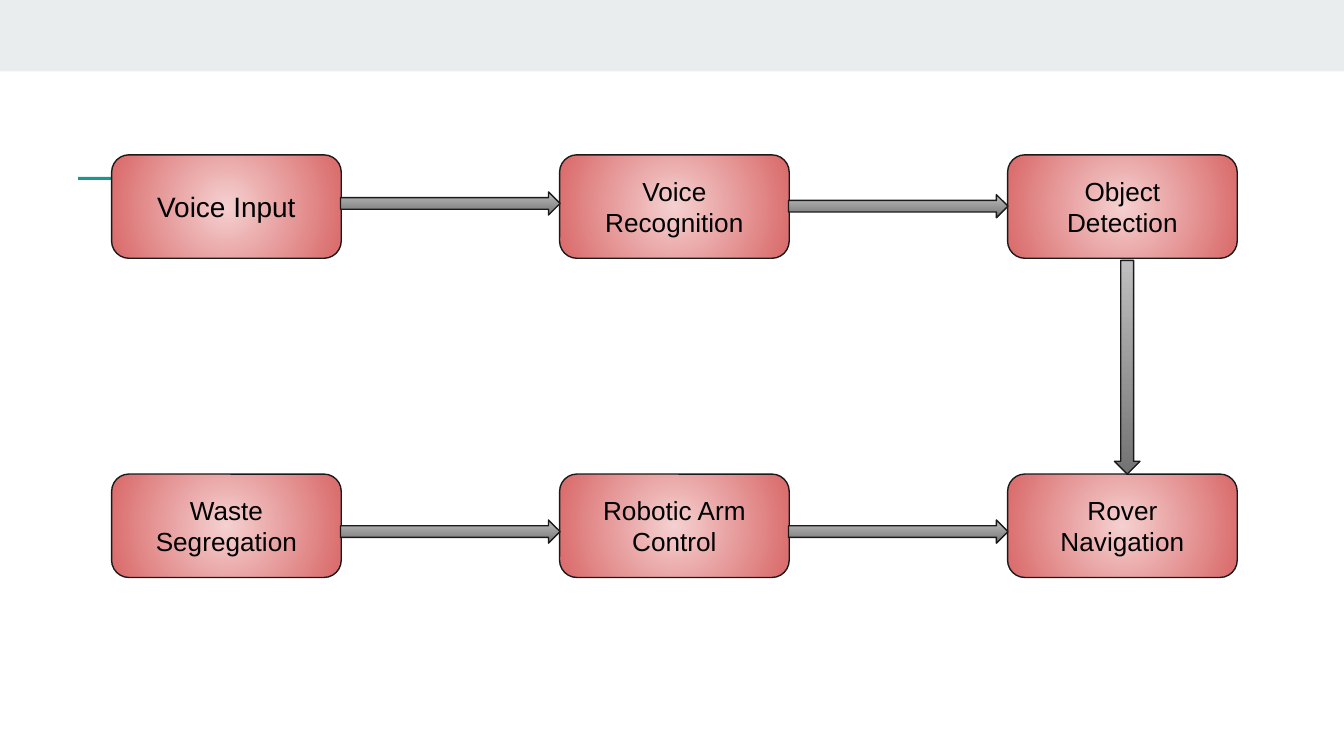
from dataclasses import dataclass

from lxml.etree import SubElement
from pptx import Presentation
from pptx.dml.color import RGBColor
from pptx.enum.shapes import MSO_SHAPE
from pptx.enum.text import MSO_ANCHOR, PP_ALIGN
from pptx.oxml.ns import qn
from pptx.util import Pt


@dataclass(frozen=True)
class Theme:
    band: str = "E9EDEE"
    accent: str = "1A9988"
    box: tuple = ("F5D0D0", "D96868")
    arrow: tuple = ("BFBFBF", "737373")
    line: str = "1A1A1A"
    text: str = "000000"
    font: str = "Arial"
    label_size: float = 14
    start_size: float = 15


class FlowSlide:
    """Draws flowchart elements on one slide in a given theme."""

    def __init__(self, slide, theme):
        self.s = slide
        self.theme = theme

    def shape(self, kind, x, y, w, h):
        sp = self.s.shapes.add_shape(kind, Pt(x), Pt(y), Pt(w), Pt(h))
        sp.shadow.inherit = False
        return sp

    def bar(self, x, y, w, h, color):
        sp = self.shape(MSO_SHAPE.RECTANGLE, x, y, w, h)
        sp.fill.solid()
        sp.fill.fore_color.rgb = RGBColor.from_string(color)
        sp.line.fill.background()

    def outlined(self, kind, x, y, w, h, colors):
        sp = self.shape(kind, x, y, w, h)
        sp.fill.gradient()
        sp.fill.gradient_angle = 270
        for stop, color in zip(sp.fill.gradient_stops, colors):
            stop.color.rgb = RGBColor.from_string(color)
        sp.line.color.rgb = RGBColor.from_string(self.theme.line)
        sp.line.width = Pt(0.75)
        return sp

    def box(self, x, y, w, h, text, size):
        sp = self.outlined(MSO_SHAPE.FLOWCHART_ALTERNATE_PROCESS, x, y, w, h, self.theme.box)
        grad = sp._element.spPr.find(qn("a:gradFill"))
        grad.remove(grad.find(qn("a:lin")))
        radial = SubElement(grad, qn("a:path"), path="circle")
        SubElement(radial, qn("a:fillToRect"), dict.fromkeys("ltrb", "50000"))
        tf = sp.text_frame
        tf.word_wrap = True
        tf.vertical_anchor = MSO_ANCHOR.MIDDLE
        tf.margin_left = tf.margin_right = tf.margin_top = tf.margin_bottom = Pt(7.2)
        p = tf.paragraphs[0]
        p.text = text
        p.alignment = PP_ALIGN.CENTER
        p.font.name = self.theme.font
        p.font.size = Pt(size)
        p.font.color.rgb = RGBColor.from_string(self.theme.text)

    def arrow(self, kind, x, y, w, h):
        self.outlined(kind, x, y, w, h, self.theme.arrow)


def main():
    prs = Presentation()
    prs.slide_width, prs.slide_height = Pt(720), Pt(405)
    theme = Theme()
    flow = FlowSlide(prs.slides.add_slide(prs.slide_layouts[6]), theme)

    flow.bar(0, 0, 720, 38.3, theme.band)
    flow.bar(41.8, 94.8, 26.8, 1.6, theme.accent)

    left, pitch, box_w, box_h = 59.8, 240, 123, 55.4
    rows = {
        83: ("Voice Input", "Voice Recognition", "Object Detection"),
        254: ("Waste Segregation", "Robotic Arm Control", "Rover Navigation"),
    }
    for y, labels in rows.items():
        for col, label in enumerate(labels):
            size = theme.start_size if label == "Voice Input" else theme.label_size
            flow.box(left + col * pitch, y, box_w, box_h, label, size)

    gap, arrow_h = pitch - box_w, 12.4
    for centers in ((109, 110.5), (284.8, 284.8)):
        for col, center in enumerate(centers):
            x = left + box_w + col * pitch
            flow.arrow(MSO_SHAPE.RIGHT_ARROW, x - 0.4, center - arrow_h / 2, gap + 0.6, arrow_h)
    flow.arrow(MSO_SHAPE.DOWN_ARROW, 597, 139.5, 13.7, 114.5)

    prs.save("out.pptx")


if __name__ == "__main__":
    main()
